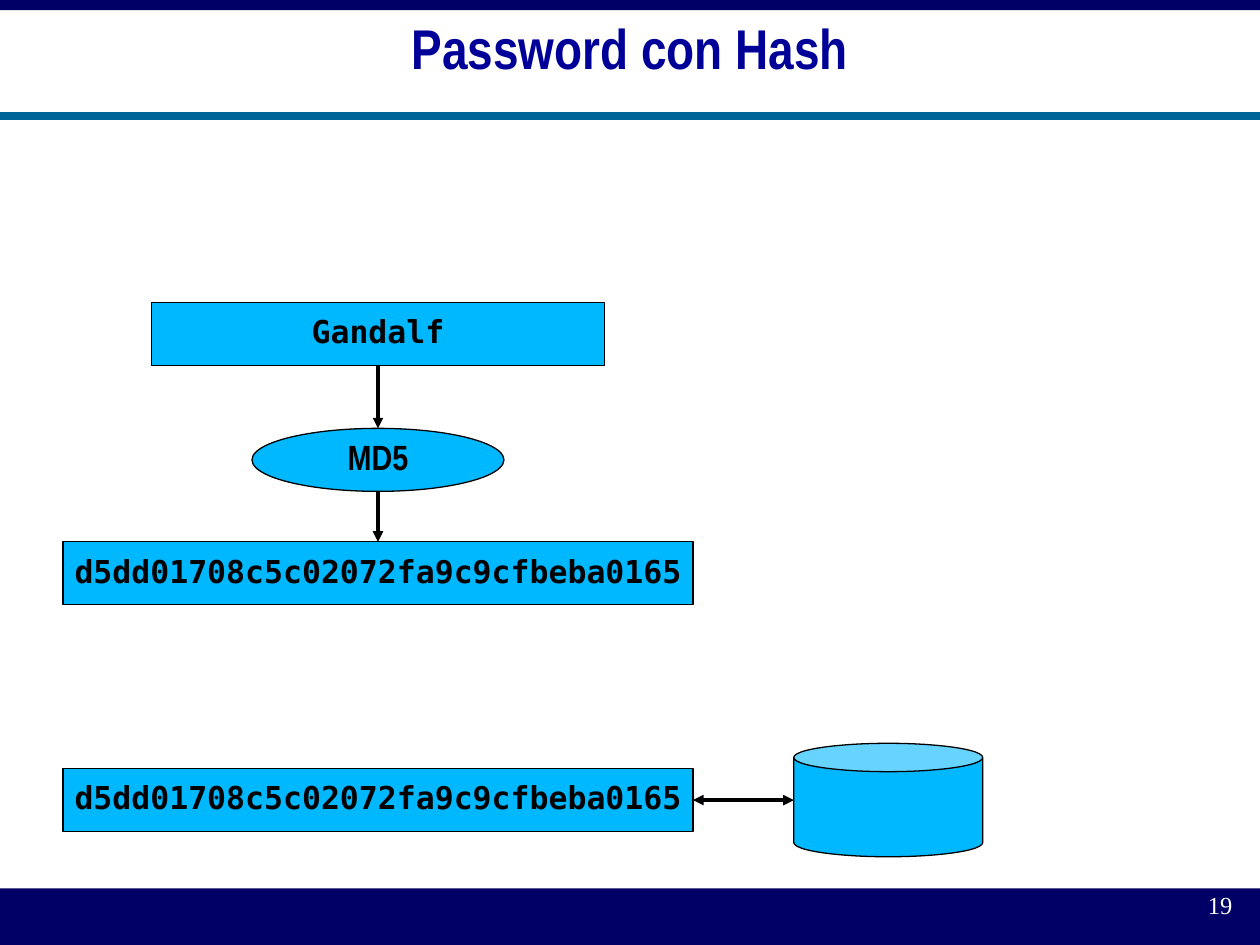
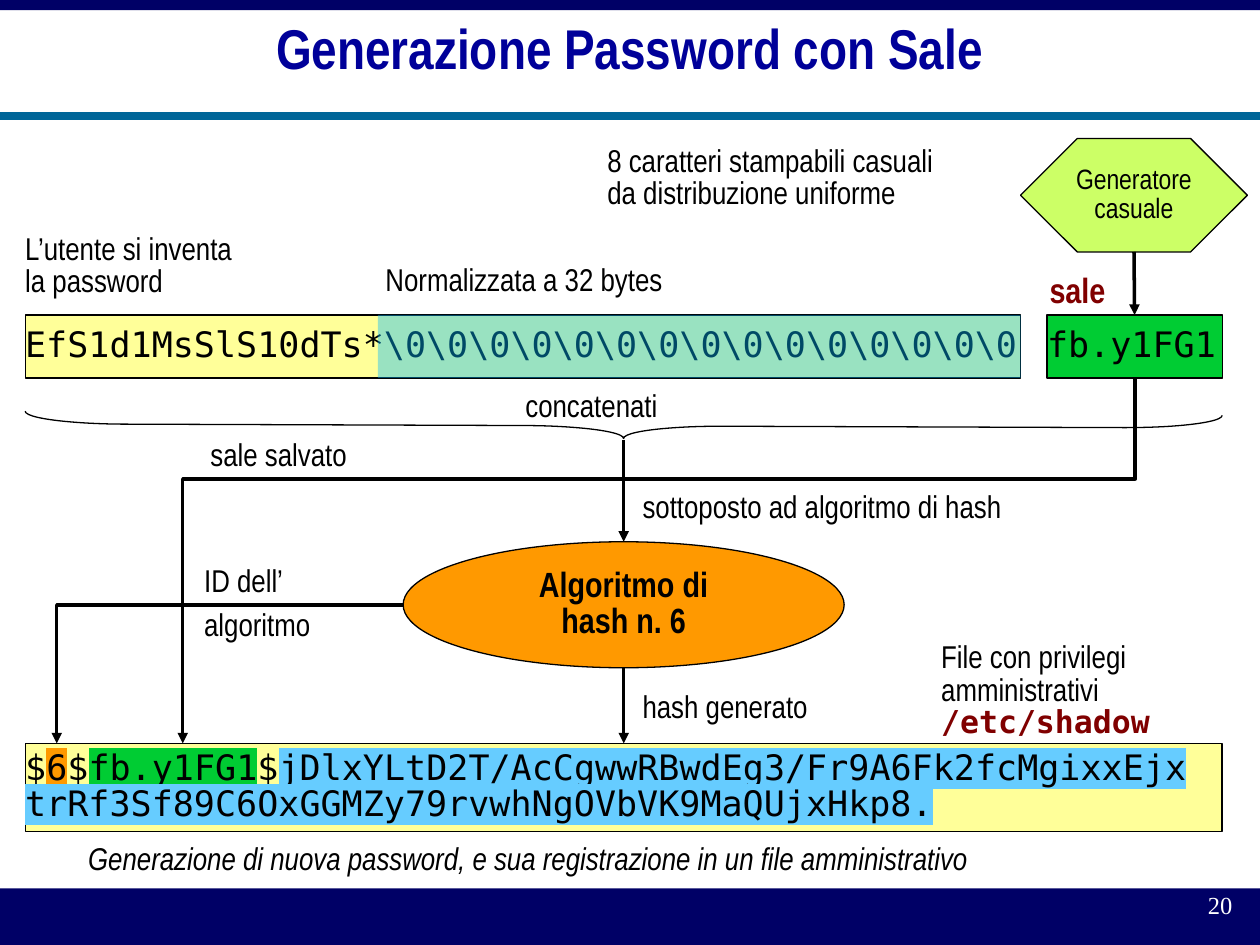
import pptx
import pptx.util
import pptx.dml.color
import pptx.enum.shapes
import pptx.enum.text
import pptx.oxml
import pptx.oxml.ns

COLORS = {
    "navy": "000066", "rule": "006699", "title": "000099", "white": "FFFFFF",
    "black": "000000", "sky": "00B8FF", "cream": "FFFF99", "green": "00CC33",
    "orange": "FF9900", "lime": "CCFF66", "digest": "66CCFF", "maroon": "800000",
}
NARROW, MONO, SERIF = "Arial Narrow", "DejaVu Sans Mono", "Times New Roman"
STYLES = {
    "title": (NARROW, 32, "title", True, False),
    "number": (SERIF, 14, "white", False, False),
    "hash": (MONO, 18, "black", True, False),
    "code": (MONO, 20, "black", False, False),
    "algorithm": (NARROW, 20, "black", True, False),
    "generator": (NARROW, 16, "black", False, False),
    "label": (NARROW, 18, "black", False, False),
    "salt": (NARROW, 20, "maroon", True, False),
    "file": (MONO, 18, "maroon", True, False),
    "caption": (NARROW, 18, "black", False, True),
}
COLUMNS, ROWS = 100, 75
LINE_SPACING = 0.86
SHAPE = pptx.enum.shapes.MSO_SHAPE
CONNECTOR = pptx.enum.shapes.MSO_CONNECTOR
ALIGN = pptx.enum.text.PP_ALIGN
ANCHOR = pptx.enum.text.MSO_ANCHOR
TOP, BOTTOM, RIGHT = 0, 2, 3


def rgb(name):
    return pptx.dml.color.RGBColor.from_string(COLORS[name])


def add_xml(parent, tag, **attributes):
    element = pptx.oxml.parse_xml(f"<a:{tag} {pptx.oxml.ns.nsdecls('a')}/>")
    for key, value in attributes.items():
        element.set(key, str(value))
    parent.append(element)
    return element


class Deck:
    def __init__(self):
        self.presentation = pptx.Presentation()
        self.presentation.slide_width = pptx.util.Inches(10)
        self.presentation.slide_height = pptx.util.Inches(7.5)
        self.slide = None

    def x(self, columns):
        return round(self.presentation.slide_width * columns / COLUMNS)

    def y(self, rows):
        return round(self.presentation.slide_height * rows / ROWS)

    def place(self, box):
        left, top, width, height = box
        return self.x(left), self.y(top), self.x(width), self.y(height)

    def new_slide(self, title, number):
        self.slide = self.presentation.slides.add_slide(self.presentation.slide_layouts[5])
        self.shape(SHAPE.RECTANGLE, (0, 70.5, 100, 4.5), "navy", outlined=False)
        self.label((78, 70.5, 20.8, 3.3), [number], "number", ALIGN.RIGHT, (0.1, 0.05))
        self.shape(SHAPE.RECTANGLE, (0, 0, 100, 0.8), "navy", outlined=False)
        self.line((0, 9.2), (100, 9.2), "rule", 4.5, tail=False)
        heading = self.slide.shapes.title
        heading.left, heading.top, heading.width, heading.height = self.place((2, 0, 96, 8.3))
        self.set_text(heading.text_frame, [title], "title", ALIGN.CENTER, ANCHOR.MIDDLE)

    def style(self, paragraph, name):
        font = paragraph.font
        font.name, size, color, font.bold, font.italic = STYLES[name]
        font.size = pptx.util.Pt(size)
        font.color.rgb = rgb(color)

    def set_text(self, frame, paragraphs, style, align, anchor, insets=(0, 0)):
        frame.word_wrap = True
        frame.auto_size = pptx.enum.text.MSO_AUTO_SIZE.NONE
        frame.vertical_anchor = anchor
        frame.margin_left = frame.margin_right = pptx.util.Inches(insets[0])
        frame.margin_top = frame.margin_bottom = pptx.util.Inches(insets[1])
        for index, content in enumerate(paragraphs):
            paragraph = frame.add_paragraph() if index else frame.paragraphs[0]
            paragraph.alignment = align
            paragraph.line_spacing = LINE_SPACING
            pieces = [(content, None)] if isinstance(content, str) else content
            for text, highlight in pieces:
                run = paragraph.add_run()
                run.text = text
                if highlight:
                    mark = add_xml(run._r.get_or_add_rPr(), "highlight")
                    add_xml(mark, "srgbClr", val=COLORS[highlight])
            self.style(paragraph, style)

    def label(self, box, paragraphs, style="label", align=ALIGN.LEFT, insets=(0, 0)):
        frame = self.slide.shapes.add_textbox(*self.place(box)).text_frame
        self.set_text(frame, paragraphs, style, align, ANCHOR.TOP, insets)
        return frame.paragraphs

    def shape(self, kind, box, fill=None, paragraphs=(), style="code",
              align=ALIGN.CENTER, outlined=True, alpha=None):
        shape = self.slide.shapes.add_shape(kind, *self.place(box))
        shape.shadow.inherit = False
        if fill:
            shape.fill.solid()
            shape.fill.fore_color.rgb = rgb(fill)
        else:
            shape.fill.background()
        if alpha:
            solid = shape._element.spPr.find(pptx.oxml.ns.qn("a:solidFill"))
            add_xml(solid[0], "alpha", val=alpha * 1000)
        if outlined:
            shape.line.color.rgb = rgb("black")
            shape.line.width = pptx.util.Pt(0)
        else:
            shape.line.fill.background()
        if paragraphs:
            self.set_text(shape.text_frame, paragraphs, style, align, ANCHOR.MIDDLE)
        return shape

    def line(self, start, end, color="black", width=0, head=False, tail=True,
             source=None, target=None, kind=CONNECTOR.STRAIGHT):
        connector = self.slide.shapes.add_connector(
            kind, self.x(start[0]), self.y(start[1]), self.x(end[0]), self.y(end[1]))
        connector.line.color.rgb = rgb(color)
        connector.line.width = pptx.util.Pt(width)
        outline = connector.line._get_or_add_ln()
        if head:
            add_xml(outline, "headEnd", type="triangle")
        if tail:
            add_xml(outline, "tailEnd", type="triangle")
        add_xml(connector._element.spPr, "effectLst")
        if source:
            connector.begin_connect(*source)
        if target:
            connector.end_connect(*target)
        return connector

    def elbow(self, start, end, preset, rotation, bend=None):
        connector = self.line(start, end, kind=CONNECTOR.ELBOW)
        properties = connector._element.spPr
        properties.find(pptx.oxml.ns.qn("a:xfrm")).set("rot", str(rotation * 60000))
        geometry = properties.find(pptx.oxml.ns.qn("a:prstGeom"))
        geometry.set("prst", preset)
        if bend:
            guides = geometry.find(pptx.oxml.ns.qn("a:avLst"))
            if guides is None:
                guides = add_xml(geometry, "avLst")
            add_xml(guides, "gd", name="adj1", fmla=f"val {round(bend * 100000)}")


def hash_slide(deck):
    deck.new_slide("Password con Hash", "19")
    digest = "d5dd01708c5c02072fa9c9cfbeba0165"
    password = deck.shape(SHAPE.RECTANGLE, (12, 24, 36, 5), "sky", ["Gandalf"], "hash")
    computed, stored = [
        deck.shape(SHAPE.RECTANGLE, (5, top, 50, 5), "sky", [digest], "hash")
        for top in (43, 61)]
    deck.shape(SHAPE.OVAL, (20, 34, 20, 5), "sky", ["MD5"], "algorithm")
    deck.line((30, 29), (30, 34), source=(password, BOTTOM))
    deck.line((30, 39), (30, 43), target=(computed, TOP))
    deck.shape(SHAPE.CAN, (63, 59, 15, 9), "sky")
    deck.line((55, 63.5), (63, 63.5), head=True, source=(stored, RIGHT))


def salt_slide(deck):
    deck.new_slide("Generazione Password con Sale", "20")
    salt_text = "fb.y1FG1"
    deck.shape(SHAPE.RECTANGLE, (2, 25, 79, 5), "cream",
               ["EfS1d1MsSlS10dTs*" + "\\0" * 15], align=ALIGN.LEFT)
    deck.shape(SHAPE.RECTANGLE, (30, 25, 51, 5), "sky", outlined=False, alpha=40)
    salt = deck.shape(SHAPE.RECTANGLE, (83.1, 25, 13.9, 5), "green",
                      [salt_text], align=ALIGN.LEFT)
    brace = deck.shape(SHAPE.LEFT_BRACE, (48.5, -13.7, 2, 95))
    brace.adjustments[0] = 3.96
    brace.rotation = 270.2

    entry = [
        [("$", None), ("6", "orange"), ("$", None), (salt_text, "green"), ("$", None),
         ("jDlxYLtD2T/AcCgwwRBwdEg3/Fr9A6Fk2fcMgixxEjx", "digest")],
        [("trRf3Sf89C6OxGGMZy79rvwhNgOVbVK9MaQUjxHkp8.", "digest")],
    ]
    shadow_entry = deck.shape(SHAPE.RECTANGLE, (2, 59, 95, 7), "cream", entry, align=ALIGN.LEFT)
    deck.shape(SHAPE.OVAL, (32, 43, 35, 10), "orange",
               ["Algoritmo di", "hash n. 6"], "algorithm")
    deck.line((49.5, 34.9), (49.5, 43))
    deck.line((49.5, 53), (49.5, 59), target=(shadow_entry, TOP))
    deck.elbow((4.5, 59), (32, 48), "bentConnector2", 180)
    deck.elbow((37.8, 6.7), (66.8, 82.3), "bentConnector3", 90, 8 / 29)
    generator = deck.shape(SHAPE.HEXAGON, (81, 11, 18, 9), "lime",
                           ["Generatore", "casuale"], "generator")
    generator.adjustments[0] = 0.5
    deck.line((90, 20), (90.05, 25), target=(salt, TOP))

    deck.label((83.3, 21.8, 5.7, 3.2), ["sale"], "salt")
    for box, paragraphs in (
        ((48.2, 11.6, 32.8, 5.4), ["8 caratteri stampabili casuali", "da distribuzione uniforme"]),
        ((2, 18.6, 21.1, 5.4), ["L’utente si inventa", "la password"]),
        ((30.6, 21.1, 27.4, 2.9), ["Normalizzata a 32 bytes"]),
        ((41.7, 31.1, 13.3, 2.9), ["concatenati"]),
        ((51, 39.1, 36, 2.9), ["sottoposto ad algoritmo di hash"]),
        ((51, 55, 16.3, 2.9), ["hash generato"]),
        ((16.7, 35, 13.5, 2.9), ["sale salvato"]),
    ):
        deck.label(box, paragraphs)
    algorithm_id = deck.label((16.2, 45, 10.8, 6.2), ["ID dell’", "algoritmo"])
    algorithm_id[1].space_before = pptx.util.Pt(6)
    file_note = deck.label((74.7, 51, 18.4, 7.9),
                           ["File con privilegi", "amministrativi", "/etc/shadow"])
    deck.style(file_note[-1], "file")
    deck.label((7, 67, 87.4, 2.9),
               ["Generazione di nuova password, e sua registrazione in un file amministrativo"],
               "caption")


def main():
    deck = Deck()
    hash_slide(deck)
    salt_slide(deck)
    deck.presentation.save("out.pptx")


if __name__ == "__main__":
    main()
